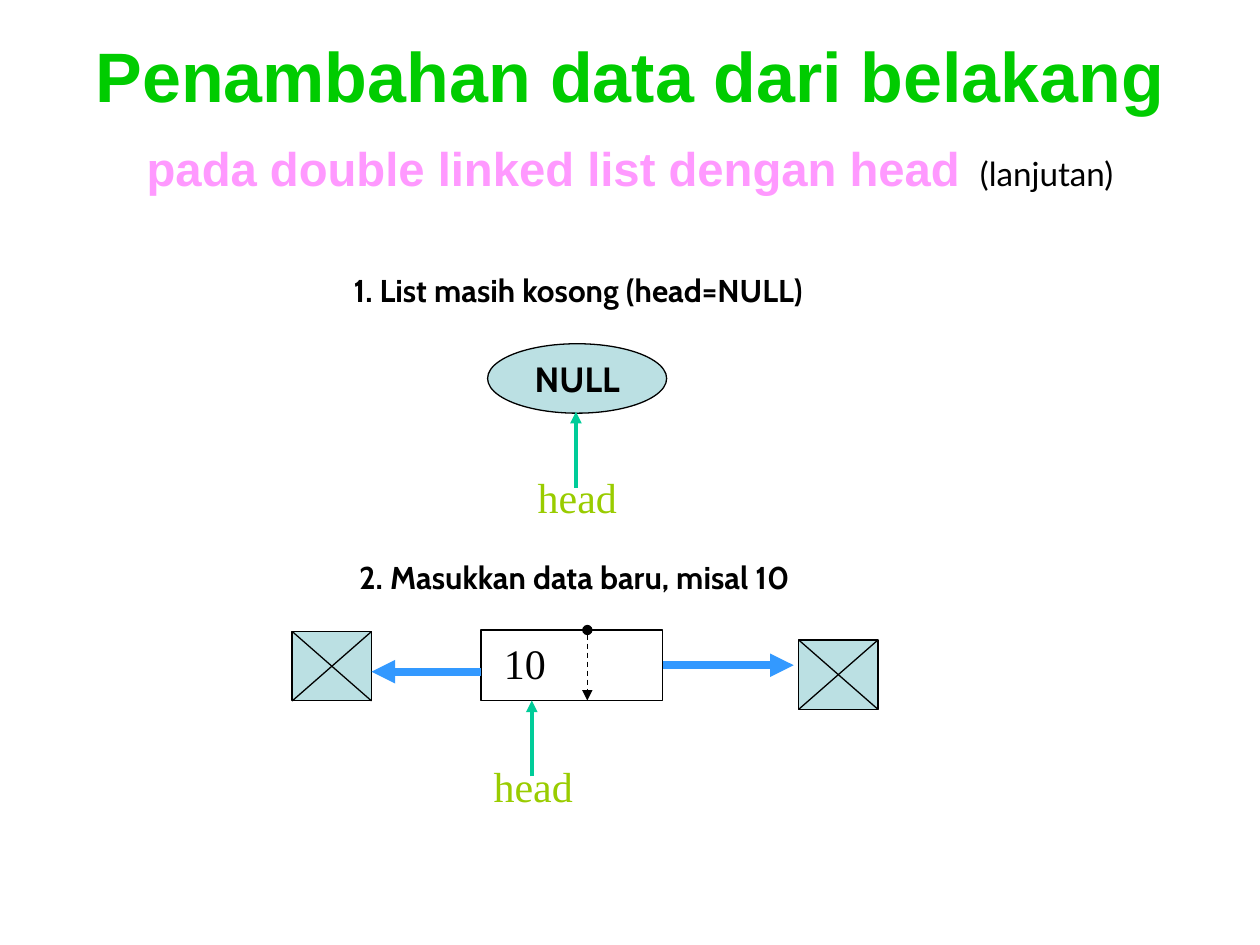
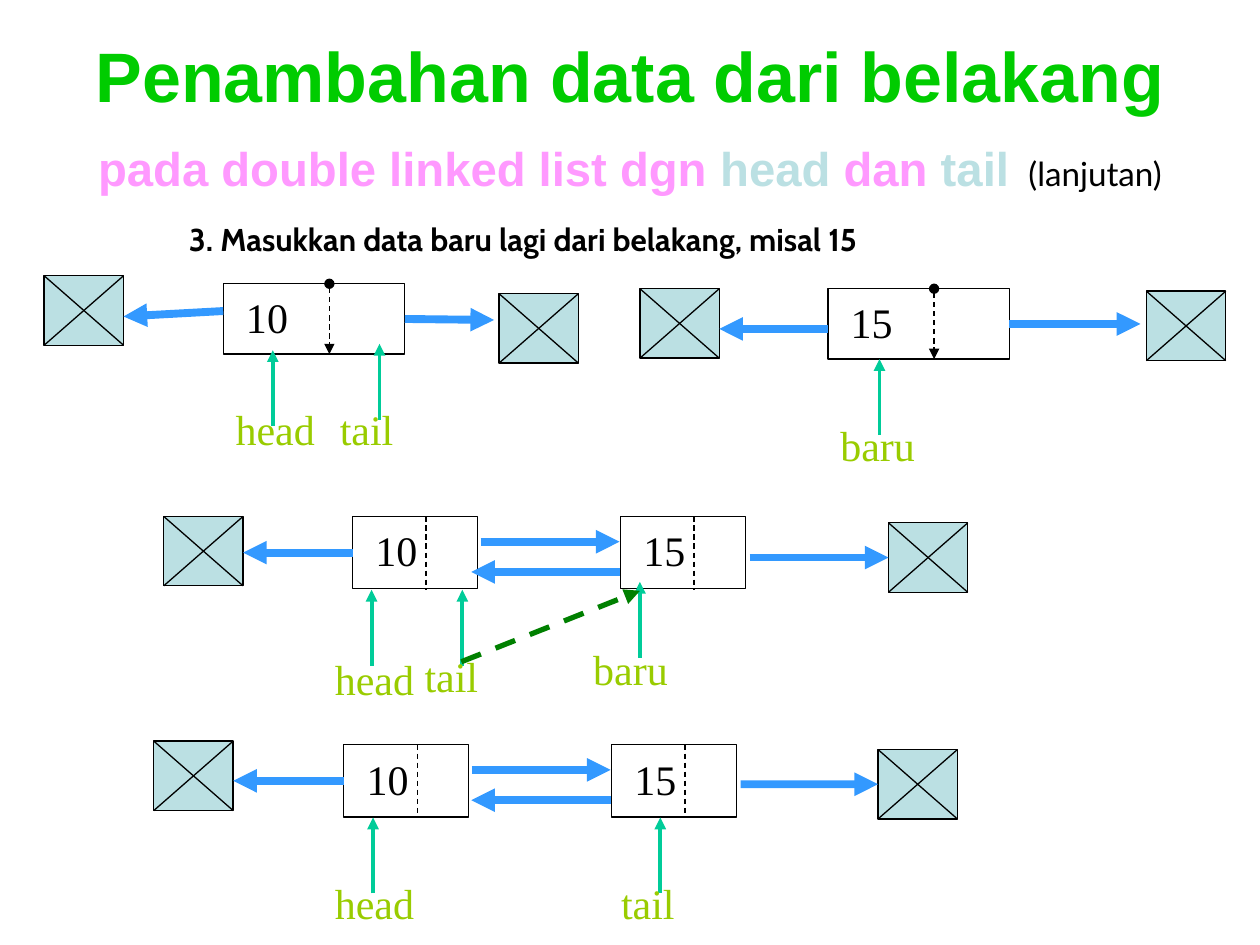
import lxml.etree
import pptx
import pptx.dml.color
import pptx.enum.dml
import pptx.enum.shapes
import pptx.enum.text
import pptx.oxml.ns
import pptx.util

Cm = pptx.util.Cm
Pt = pptx.util.Pt
SHAPES = pptx.enum.shapes.MSO_SHAPE
ALIGN = pptx.enum.text.PP_ALIGN
ANCHOR = pptx.enum.text.MSO_ANCHOR
TOP, LEFT, BOTTOM, RIGHT = range(4)


def colour(code):
    """Turn a hex string into a colour."""
    return pptx.dml.color.RGBColor.from_string(code)


class ListDeck:
    """Style and current slide of a deck about linked lists."""

    BLACK, WHITE = "000000", "FFFFFF"
    GREEN, PINK, PALE = "00CC00", "FF99FF", "BBE0E3"
    LINK, POINTER, LABEL, MOVE = "3399FF", "00CC99", "99CC00", "008000"
    LABEL_WIDTHS = {"head": 2.2, "tail": 1.75, "baru": 2.1}

    def __init__(self):
        """Start an empty deck of 4:3 slides."""
        self.deck = pptx.Presentation()
        self.deck.slide_width, self.deck.slide_height = Cm(25.4), Cm(19.05)
        self.slide = None

    def run(self, paragraph, text, font, size, code, bold=False):
        """Add one styled run."""
        run = paragraph.add_run()
        run.text = text
        run.font.name, run.font.size, run.font.bold = font, Pt(size), bold
        run.font.color.rgb = colour(code)

    def text_box(self, left, top, width, height, wrap=False):
        """Add a text box and return its frame."""
        frame = self.slide.shapes.add_textbox(
            Cm(left), Cm(top), Cm(width), Cm(height)).text_frame
        frame.word_wrap = wrap
        return frame

    def shape(self, preset, left, top, width, height, fill):
        """Add a filled shape with a thin black outline."""
        shape = self.slide.shapes.add_shape(
            preset, Cm(left), Cm(top), Cm(width), Cm(height))
        shape.shadow.inherit = False
        shape.fill.solid()
        shape.fill.fore_color.rgb = colour(fill)
        shape.line.color.rgb = colour(self.BLACK)
        shape.line.width = Pt(0.75)
        return shape

    def line(self, begin, end, code=BLACK, weight=0.75, dashed=False, head=None, tail=None):
        """Draw a line between points, each (x, y) or (shape, side)."""
        glued = [not isinstance(point[0], (int, float)) for point in (begin, end)]
        ends = [(0, 0) if stuck else point for stuck, point in zip(glued, (begin, end))]
        line = self.slide.shapes.add_connector(
            pptx.enum.shapes.MSO_CONNECTOR.STRAIGHT,
            *(Cm(value) for point in ends for value in point))
        if glued[0]:
            line.begin_connect(*begin)
        if glued[1]:
            line.end_connect(*end)
        line.line.color.rgb = colour(code)
        line.line.width = Pt(weight)
        if dashed:
            line.line.dash_style = pptx.enum.dml.MSO_LINE.DASH
        qn = pptx.oxml.ns.qn
        properties = line.element.spPr
        outline = properties.find(qn("a:ln"))
        for tag, kind in (("a:headEnd", head), ("a:tailEnd", tail)):
            if kind:
                lxml.etree.SubElement(outline, qn(tag), type=kind)
        lxml.etree.SubElement(properties, qn("a:effectLst"))

    def new_slide(self, subtitle):
        """Start a slide with the shared title and a subtitle of coloured parts."""
        self.slide = self.deck.slides.add_slide(self.deck.slide_layouts[6])
        frame = self.text_box(1.27, 0.76, 22.86, 3.18, wrap=True)
        frame.vertical_anchor = ANCHOR.MIDDLE
        title = frame.paragraphs[0]
        title.alignment = ALIGN.CENTER
        self.run(title, "Penambahan data dari belakang", "Arial", 40, self.GREEN, True)
        title.add_line_break()
        for text, code in subtitle:
            self.run(title, text, "Arial", 27, code, True)
        self.run(title, " ", "Arial", 40, self.BLACK, True)
        self.run(title, "(lanjutan)", "Lato", 19, self.BLACK)

    def step(self, left, top, width, text):
        """Add the caption of a step."""
        caption = self.text_box(left, top, width, 1.02).paragraphs[0]
        self.run(caption, text, "Cabin", 18, self.BLACK, True)

    def empty_list(self, left, top):
        """Add the NULL ellipse."""
        frame = self.shape(SHAPES.OVAL, left, top, 3.61, 1.4, self.PALE).text_frame
        frame.word_wrap = False
        frame.vertical_anchor = ANCHOR.MIDDLE
        frame.paragraphs[0].alignment = ALIGN.CENTER
        self.run(frame.paragraphs[0], "NULL", "Cabin", 20, self.BLACK, True)

    def null(self, left, top):
        """Add a crossed box that stands for a null link."""
        right, bottom = left + 1.6, top + 1.4
        box = self.shape(SHAPES.RECTANGLE, left, top, 1.6, 1.4, self.PALE)
        self.line((left, top), (right, bottom))
        self.line((right, top), (left, bottom))
        return box

    def node(self, left, top, value, wide=True):
        """Add a list node with its dashed divider."""
        width, height, divider = (3.66, 1.42, 2.14) if wide else (2.52, 1.46, 1.48)
        node = self.shape(SHAPES.RECTANGLE, left, top, width, height, self.WHITE)
        frame = node.text_frame
        frame.margin_left = Cm(0.46)
        frame.vertical_anchor = ANCHOR.MIDDLE
        paragraph = frame.paragraphs[0]
        paragraph.alignment, paragraph.line_spacing = ALIGN.LEFT, 0.95
        self.run(paragraph, value, "Times New Roman", 24, self.BLACK)
        x = left + divider
        self.line((x, top), (x, top + height), dashed=True,
                  head="oval" if wide else None, tail="triangle" if wide else None)
        return node

    def link(self, begin, end):
        """Draw a thick arrow from node to node."""
        self.line(begin, end, self.LINK, 4.5, tail="triangle")

    def pointer(self, name, x, tip, left, top):
        """Draw an upward pointer arrow and its name."""
        self.line((x, tip + 1.53), (x, tip), self.POINTER, 2.25, tail="triangle")
        label = self.text_box(left, top, self.LABEL_WIDTHS[name], 1.22).paragraphs[0]
        label.alignment, label.line_spacing = ALIGN.LEFT, 0.95
        self.run(label, name, "Times New Roman", 24, self.LABEL)

    def joined_nodes(self, left, top, left_null, right_null):
        """Draw nodes 10 and 15 linked both ways, with a null at each side."""
        second = left + 5.4
        first_node = self.node(left, top, "10", wide=False)
        self.node(second, top, "15", wide=False)
        self.link((left + 2.58, top + 0.51), (second - 0.02, top + 0.51))
        self.link((second - 0.02, top + 1.12), (9.5, top + 1.12))
        self.null(*left_null)
        self.link((first_node, LEFT), (left_null[0] + 1.6, top + 0.73))
        self.link((second + 2.6, right_null[1] + 0.7), (self.null(*right_null), LEFT))


def first_insert(deck):
    """Build the slide on an empty list and its first node."""
    deck.new_slide([("pada double linked list dengan head", deck.PINK)])
    deck.step(6.88, 5.33, 11.18, "1. List masih kosong (head=NULL)")
    deck.empty_list(9.83, 6.93)
    deck.pointer("head", 11.61, 8.3, 10.59, 9.45)
    deck.step(6.99, 11.13, 10.9, "2. Masukkan data baru, misal 10")
    node = deck.node(9.7, 12.7, "10")
    deck.null(16.1, 12.9)
    deck.null(5.89, 12.73)
    deck.link((node, RIGHT), (16, 13.41))
    deck.link((9.7, 13.54), (7.49, 13.54))
    deck.pointer("head", 10.72, 14.12, 9.7, 15.29)


def insert_behind(deck):
    """Build the slide on adding a second node at the tail."""
    deck.new_slide([("pada double linked list dgn ", deck.PINK), ("head", deck.PALE),
                    (" dan", deck.PINK), (" tail", deck.PALE)])
    deck.step(3.56, 4.32, 16.61, "3. Masukkan data baru lagi dari belakang, misal 15")

    ten = deck.node(4.5, 5.72, "10")
    fifteen = deck.node(16.69, 5.82, "15")
    for left, top in ((0.89, 5.56), (10.06, 5.92), (12.9, 5.82), (23.11, 5.87)):
        deck.null(left, top)
    deck.link((4.5, 6.27), (2.49, 6.38))
    deck.link((ten, RIGHT), (9.96, 6.45))
    deck.link((16.69, 6.63), (14.5, 6.63))
    deck.link((fifteen, RIGHT), (22.99, 6.53))

    deck.joined_nodes(7.11, 10.41, (3.3, 10.41), (17.91, 10.54))
    deck.joined_nodes(6.93, 15.01, (3.1, 14.94), (17.7, 15.11))

    for name, x, tip, left, top in (
            ("head", 5.5, 7.06, 4.5, 8.08),
            ("tail", 7.65, 6.93, 6.6, 8.08),
            ("baru", 17.73, 7.24, 16.69, 8.41),
            ("head", 7.49, 11.89, 6.5, 13.13),
            ("tail", 9.32, 11.89, 8.31, 13.06),
            ("baru", 12.9, 11.73, 11.71, 12.93),
            ("head", 7.52, 16.48, 6.5, 17.65),
            ("tail", 13.31, 16.48, 12.27, 17.65)):
        deck.pointer(name, x, tip, left, top)
    deck.line((9.3, 13.34), (12.9, 11.91), deck.MOVE, 3, dashed=True, tail="triangle")


def main():
    """Build both slides and save them."""
    deck = ListDeck()
    first_insert(deck)
    insert_behind(deck)
    deck.deck.save("out.pptx")


if __name__ == "__main__":
    main()
